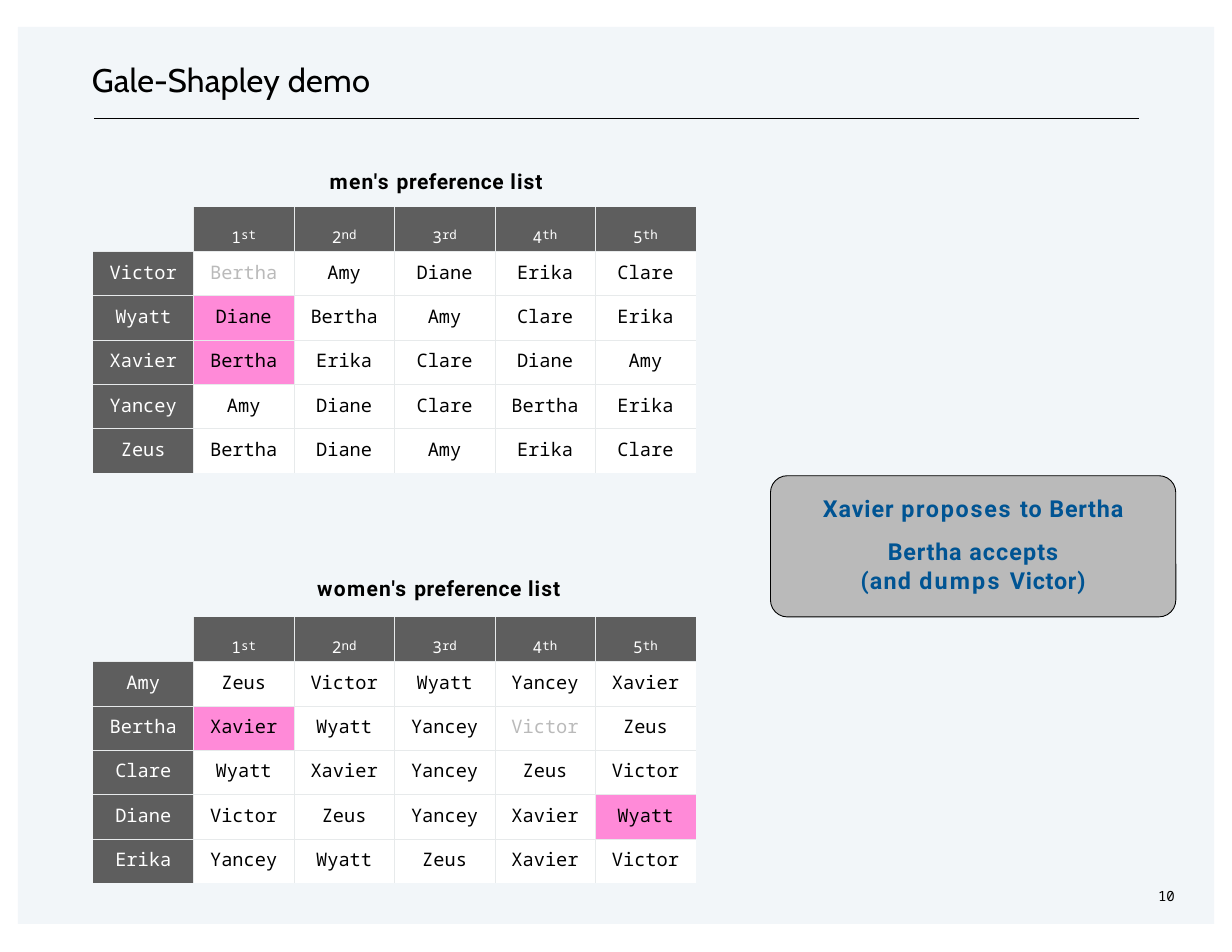
"""Build a slide showing one step of the Gale-Shapley stable matching demo."""
from lxml import etree
from pptx import Presentation
from pptx.dml.color import RGBColor
from pptx.enum.shapes import MSO_CONNECTOR, MSO_SHAPE
from pptx.enum.text import MSO_ANCHOR, PP_ALIGN
from pptx.oxml.ns import qn
from pptx.util import Pt

LEFT, CENTER = PP_ALIGN.LEFT, PP_ALIGN.CENTER
TOP = MSO_ANCHOR.TOP
RECTANGLE, ROUNDED = MSO_SHAPE.RECTANGLE, MSO_SHAPE.ROUNDED_RECTANGLE
STRAIGHT = MSO_CONNECTOR.STRAIGHT
BLACK, WHITE, BLUE, PANEL = "000000", "FFFFFF", "005493", "F2F6F9"
DARK, GREY, PINK, GRID = "5E5E5E", "BABABA", "FF8AD8", "E7EAEB"
MONO = "Noto Sans Mono"
COLUMN, ROW = 64.6, 28.5
RANKS = [("1", "st"), ("2", "nd"), ("3", "rd"), ("4", "th"), ("5", "th")]


def color(value):
    """Turn a hex string into a colour."""
    return RGBColor.from_string(value)


def write(para, spans, name, size, ink, bold=False, align=LEFT, before=0):
    """Fill a paragraph with (text, letter spacing) spans in one font."""
    para.alignment = align
    para.space_before = Pt(before)
    para.font.name = name
    para.font.size = Pt(size)
    para.font.bold = bold
    para.font.color.rgb = color(ink)
    for text, spacing in spans:
        span = para.add_run()
        span.text = text
        if spacing:
            span.font._element.set("spc", str(round(spacing * 100)))


deck = Presentation()
deck.slide_width, deck.slide_height = Pt(792), Pt(612)
page = deck.slides.add_slide(deck.slide_layouts[5])

panel = page.shapes.add_shape(RECTANGLE, Pt(11.5), Pt(17.3), Pt(769), Pt(576.7))
panel.shadow.inherit = False
panel.fill.solid()
panel.fill.fore_color.rgb = color(BLUE)
panel.line.fill.background()
tint = panel._element.spPr.find(".//" + qn("a:srgbClr"))
etree.SubElement(tint, qn("a:alpha"), val="5000")
page.shapes._spTree.insert(2, panel._element)

rule = page.shapes.add_connector(STRAIGHT, Pt(60.5), Pt(76), Pt(732.3), Pt(76))
rule.line.color.rgb = color(BLACK)
rule.line.width = Pt(0.75)
etree.SubElement(rule._element.spPr, qn("a:effectLst"))

title = page.shapes.title
title.left, title.top, title.width, title.height = Pt(59), Pt(37.4), Pt(191), Pt(27.5)
labels = [
    (title, [("Gale-Shapley ", 0.1), ("demo", 0.2)], "Cabin", 21, False),
]
for left, top, width, height, spans, name, size, bold in [
    (211.9, 107.3, 160, 18, [("men's ", 0.9), ("preference ", 0.4), ("list", 0.7)], "Roboto", 13.5, True),
    (203.9, 369.2, 180, 18, [("women's ", 0.9), ("preference ", 0.4), ("list", 0.7)], "Roboto", 13.5, True),
    (744.5, 569.5, 20, 13, [("10", 0)], MONO, 9, False),
]:
    box = page.shapes.add_textbox(Pt(left), Pt(top), Pt(width), Pt(height))
    labels.append((box, spans, name, size, bold))
for box, spans, name, size, bold in labels:
    frame = box.text_frame
    frame.word_wrap = True
    frame.vertical_anchor = TOP
    frame.margin_left = frame.margin_right = frame.margin_bottom = 0
    frame.margin_top = Pt(1)
    write(frame.paragraphs[0], spans, name, size, BLACK, bold, before=1)

men = [
    "Victor Bertha Amy Diane Erika Clare",
    "Wyatt Diane Bertha Amy Clare Erika",
    "Xavier Bertha Erika Clare Diane Amy",
    "Yancey Amy Diane Clare Bertha Erika",
    "Zeus Bertha Diane Amy Erika Clare",
]
women = [
    "Amy Zeus Victor Wyatt Yancey Xavier",
    "Bertha Xavier Wyatt Yancey Victor Zeus",
    "Clare Wyatt Xavier Yancey Zeus Victor",
    "Diane Victor Zeus Yancey Xavier Wyatt",
    "Erika Yancey Wyatt Zeus Xavier Victor",
]
for top, lines, engaged, rejected in [
    (133.1, men, [(2, 1), (3, 1)], (1, 1)),
    (396.7, women, [(2, 1), (4, 5)], (2, 4)),
]:
    table = page.shapes.add_table(6, 6, Pt(59.8), Pt(top), Pt(6 * COLUMN), Pt(6 * ROW)).table
    table.first_row = table.horz_banding = False
    for column in table.columns:
        column.width = Pt(COLUMN)
    for row in table.rows:
        row.height = Pt(ROW)
    names = [line.split() for line in lines]
    for r in range(6):
        for c in range(6):
            cell = table.cell(r, c)
            cell.margin_left = cell.margin_right = cell.margin_bottom = 0
            cell.margin_top = Pt(5 if r else 2)
            cell.vertical_anchor = TOP
            properties = cell._tc.get_or_add_tcPr()
            for side, inner in [("L", c > 0), ("R", c < 5), ("T", r > 0), ("B", r < 5)]:
                edge = etree.SubElement(properties, qn("a:ln" + side), w="3175")
                if inner:
                    paint = etree.SubElement(edge, qn("a:solidFill"))
                    etree.SubElement(paint, qn("a:srgbClr"), val=GRID)
                else:
                    etree.SubElement(edge, qn("a:noFill"))
            heading = r == 0 or c == 0
            if r == c == 0:
                shade = PANEL
            elif heading:
                shade = DARK
            else:
                shade = PINK if (r, c) in engaged else WHITE
            cell.fill.solid()
            cell.fill.fore_color.rgb = color(shade)
            para = cell.text_frame.paragraphs[0]
            if r:
                ink = WHITE if heading else GREY if (r, c) == rejected else BLACK
                write(para, [(names[r - 1][c], 0)], MONO, 12, ink, align=CENTER, before=5.3)
            elif c:
                digit, suffix = RANKS[c - 1]
                write(para, [(digit, 0), (suffix, 0)], MONO, 8, WHITE, align=CENTER, before=2.1)
                para.runs[0].font.size = Pt(18)
                para.runs[0].font._element.set("baseline", "-14000")

callout = page.shapes.add_shape(ROUNDED, Pt(495.3), Pt(305.8), Pt(260.6), Pt(90.8))
callout.adjustments[0] = 0.12
callout.shadow.inherit = False
callout.fill.solid()
callout.fill.fore_color.rgb = color(GREY)
callout.line.color.rgb = color(BLACK)
callout.line.width = Pt(0.56)
frame = callout.text_frame
frame.word_wrap = True
frame.vertical_anchor = TOP
frame.margin_top = Pt(8.5)
for number, (before, spans) in enumerate([
    (0, [("Xavier ", 0.6), ("proposes ", 1.1), ("to ", 0.6), ("Bertha", 0.5)]),
    (10, [("Bertha ", 0.5), ("accepts", 0.7)]),
    (0.8, [("(and ", 0.8), ("dumps ", 1.4), ("Victor)", 0.5)]),
]):
    para = frame.add_paragraph() if number else frame.paragraphs[0]
    write(para, spans, "Roboto", 15, BLUE, True, CENTER, before)

deck.save("out.pptx")
